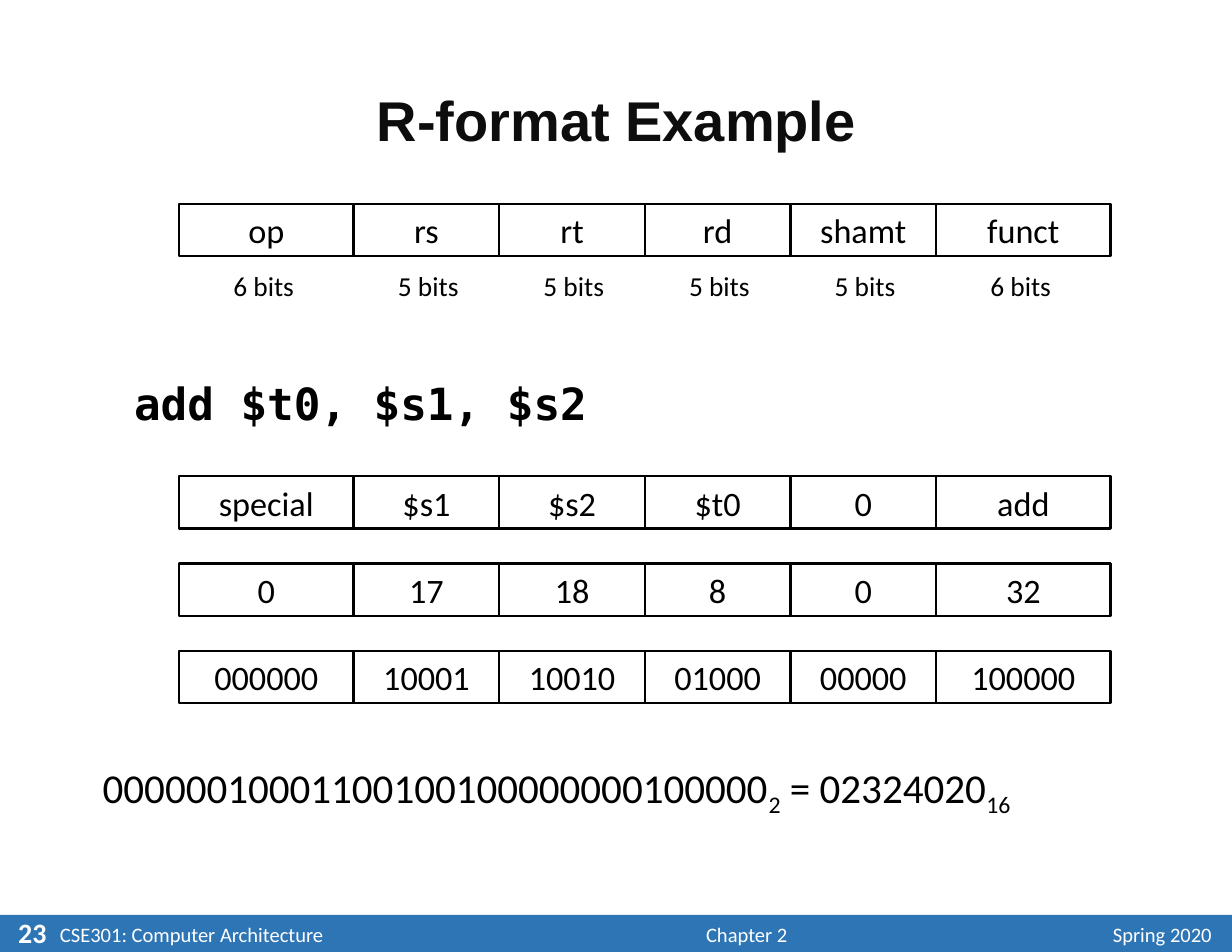
import dataclasses

import pptx
import pptx.dml.color
import pptx.enum.shapes
import pptx.enum.text
import pptx.util

Cm = pptx.util.Cm
Pt = pptx.util.Pt
Align = pptx.enum.text.PP_ALIGN
Anchor = pptx.enum.text.MSO_ANCHOR
RECTANGLE = pptx.enum.shapes.MSO_SHAPE.RECTANGLE


@dataclasses.dataclass(frozen=True)
class Theme:
    ink: str = "000000"
    title_ink: str = "0D0D0D"
    bar: str = "2E75B6"
    bar_ink: str = "FFFFFF"
    body_font: str = "Calibri"
    title_font: str = "Arial"
    code_font: str = "DejaVu Sans Mono"
    title_size: float = 36
    code_size: float = 28.5
    result_size: float = 26.4
    cell_size: float = 22
    number_size: float = 18
    bits_size: float = 17.6
    footer_size: float = 13.2


@dataclasses.dataclass(frozen=True)
class Box:
    left: int
    top: int
    width: int
    height: int

    @property
    def bounds(self):
        return self.left, self.top, self.width, self.height


THEME = Theme()
FIELDS = [("op", 6), ("rs", 5), ("rt", 5), ("rd", 5), ("shamt", 5), ("funct", 6)]
ENCODINGS = [
    ["special", "$s1", "$s2", "$t0", "0", "add"],
    ["0", "17", "18", "8", "0", "32"],
    ["000000", "10001", "10010", "01000", "00000", "100000"],
]
RESULT = [("00000010001100100100100000100000".replace("100100100000", "1001001000000"), False)]
RESULT = [
    ("00000010001100100100000000100000", False),
    ("2", True),
    (" = 02324020", False),
    ("16", True),
]


def color(value):
    return pptx.dml.color.RGBColor.from_string(value)


def format_paragraph(paragraph, size, ink=THEME.ink, font=THEME.body_font,
                     bold=False, align=Align.LEFT):
    paragraph.alignment = align
    for run in paragraph.runs:
        run.font.size = Pt(size)
        run.font.name = font
        run.font.bold = bold
        run.font.color.rgb = color(ink)


def add_text(slide, box, text, size, wrap=True, anchor=Anchor.TOP, **style):
    """Add a text box and return its only paragraph."""
    frame = slide.shapes.add_textbox(*box.bounds).text_frame
    frame.word_wrap = wrap
    frame.vertical_anchor = anchor
    frame.text = text
    format_paragraph(frame.paragraphs[0], size, **style)
    return frame.paragraphs[0]


def add_rectangle(slide, box):
    shape = slide.shapes.add_shape(RECTANGLE, *box.bounds)
    shape.shadow.inherit = False
    return shape


def field_boxes(box):
    """Divide a row into fields whose widths follow their bit counts."""
    bit_width = box.width / sum(bits for _, bits in FIELDS)
    left = box.left
    for _, bits in FIELDS:
        width = round(bits * bit_width)
        yield Box(left, box.top, width, box.height)
        left += width


def add_field_row(slide, box, values):
    for cell, value in zip(field_boxes(box), values):
        shape = add_rectangle(slide, cell)
        shape.fill.background()
        shape.line.color.rgb = color(THEME.ink)
        shape.line.width = Pt(1.5)
        shape.text_frame.text = value
        format_paragraph(shape.text_frame.paragraphs[0], THEME.cell_size,
                         align=Align.CENTER)


def add_bit_counts(slide, box):
    for cell, (_, bits) in zip(field_boxes(box), FIELDS):
        nudge = Cm(-0.06) if bits == 6 else Cm(0.04)
        label = Box(cell.left + nudge, cell.top, cell.width, cell.height)
        add_text(slide, label, f"{bits} bits", THEME.bits_size, align=Align.CENTER)


def add_title(slide, box):
    paragraph = add_text(slide, box, "R-format Example", THEME.title_size,
                         anchor=Anchor.MIDDLE, ink=THEME.title_ink,
                         font=THEME.title_font, bold=True, align=Align.CENTER)
    paragraph.line_spacing = 0.9


def add_instruction(slide, box):
    paragraph = add_text(slide, box, "add $t0, $s1, $s2", THEME.code_size,
                         font=THEME.code_font, bold=True)
    paragraph.line_spacing = 1.4
    paragraph.space_before = Pt(11)


def add_result(slide, box):
    paragraph = add_text(slide, box, "", THEME.result_size)
    paragraph.space_before = Pt(5.3)
    for text, is_subscript in RESULT:
        run = paragraph.add_run()
        run.text = text
        if is_subscript:
            run.font._element.set("baseline", "-25000")
    format_paragraph(paragraph, THEME.result_size)


def add_footer(slide, box):
    bar = add_rectangle(slide, box)
    bar.fill.solid()
    bar.fill.fore_color.rgb = color(THEME.bar)
    bar.line.fill.background()
    entries = [
        ("CSE301: Computer Architecture", Cm(1.11), Cm(6.65), Align.LEFT),
        ("Chapter 2", Cm(13.55), Cm(6.77), Align.CENTER),
        ("Spring 2020", Cm(23.49), Cm(4.24), Align.RIGHT),
    ]
    for text, left, width, align in entries:
        entry = Box(box.left + left, box.top + Cm(0.03), width, Cm(0.82))
        add_text(slide, entry, text, THEME.footer_size, wrap=align != Align.LEFT,
                 ink=THEME.bar_ink, align=align)
    number = Box(box.left + Cm(0.1), box.top - Cm(0.12), Cm(1.27), Cm(0.87))
    add_text(slide, number, "23", THEME.number_size, ink=THEME.bar_ink,
             bold=True, align=Align.CENTER)


def add_instruction_format(slide, box):
    add_field_row(slide, box, [name for name, _ in FIELDS])
    add_bit_counts(slide, Box(box.left, box.top + Cm(1.35), box.width, Cm(1.02)))


def add_encodings(slide, box, pitch):
    for index, values in enumerate(ENCODINGS):
        row = Box(box.left, box.top + index * pitch, box.width, box.height)
        add_field_row(slide, row, values)


def main():
    presentation = pptx.Presentation()
    presentation.slide_width = Cm(27.94)
    presentation.slide_height = Cm(21.59)
    slide = presentation.slides.add_slide(presentation.slide_layouts[6])
    row_left, row_width, row_height = Cm(4.06), Cm(21.13), Cm(1.19)

    add_footer(slide, Box(0, Cm(20.75), presentation.slide_width, Cm(0.84)))
    add_title(slide, Box(Cm(1.93), Cm(1.14), Cm(24.1), Cm(3.3)))
    add_instruction_format(slide, Box(row_left, Cm(4.62), row_width, row_height))
    add_instruction(slide, Box(Cm(2.79), Cm(7.92), Cm(24.56), Cm(1.98)))
    add_encodings(slide, Box(row_left, Cm(10.8), row_width, row_height), Cm(1.98))
    add_result(slide, Box(Cm(2.08), Cm(17.17), Cm(24.87), Cm(1.55)))
    presentation.save("out.pptx")


if __name__ == "__main__":
    main()
